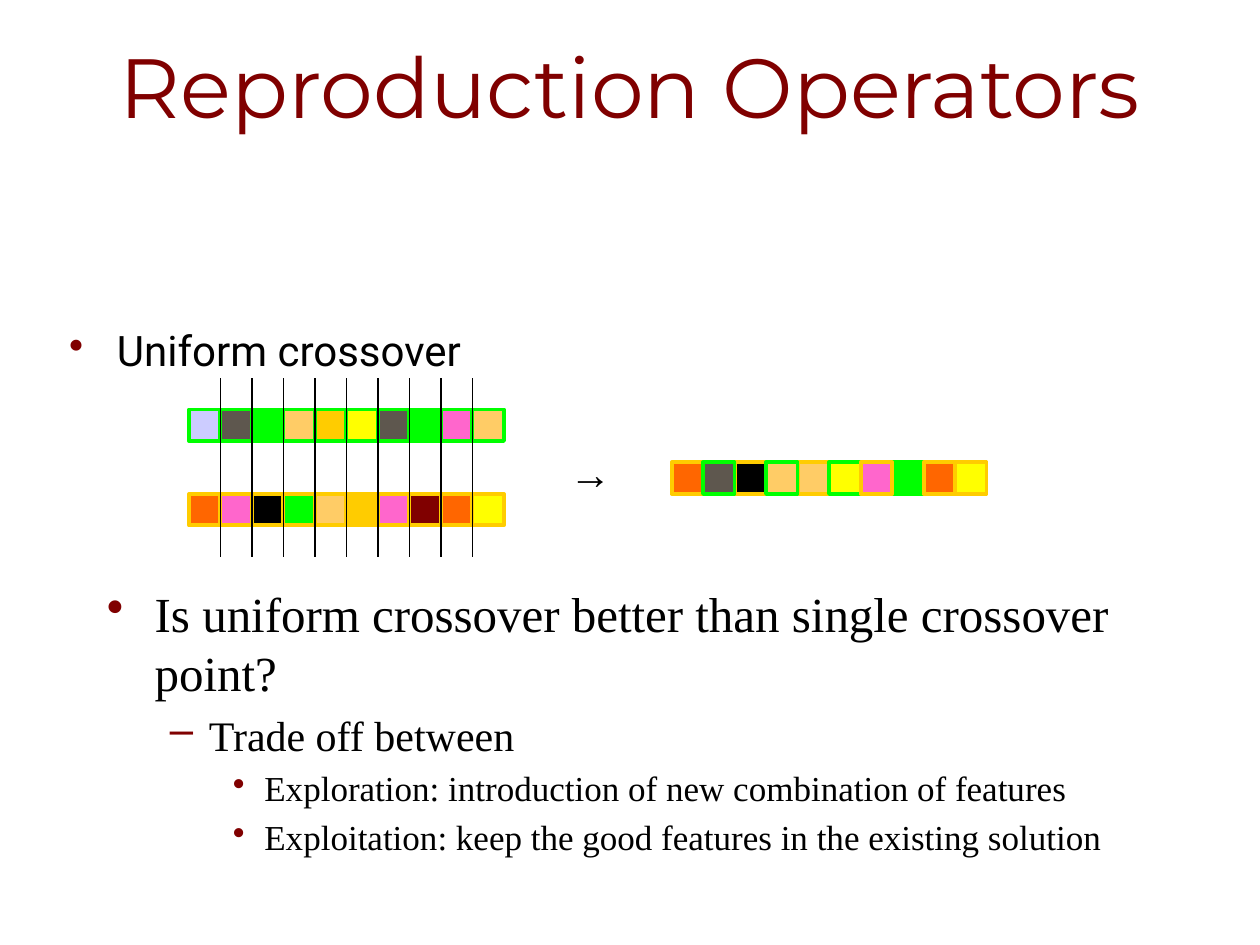
from lxml.etree import SubElement
from pptx import Presentation
from pptx.dml.color import RGBColor
from pptx.enum.shapes import MSO_CONNECTOR, MSO_SHAPE
from pptx.enum.text import MSO_ANCHOR, PP_ALIGN
from pptx.oxml.ns import qn
from pptx.util import Inches, Pt

COLORS = {
    "maroon": "800000", "black": "000000", "green": "00FF00", "gold": "FFCC00",
    "orange": "FF6600", "pink": "FF66CC", "peach": "FFCC66", "yellow": "FFFF00",
    "lavender": "CCCCFF", "gray": "5E574E",
}
GENE = 0.25  # side of one gene square

# Bullet, text indent and hanging indent for each outline level
LEVELS = [("•", 0.38, 0.38), ("–", 0.81, 0.31), ("•", 1.25, 0.25)]


def rgb(name):
    return RGBColor.from_string(COLORS[name])


class SlideBuilder:
    serif = "Times New Roman"

    def __init__(self, page):
        self.page = page

    def text_box(self, left, top, width, height, wrap=True):
        box = self.page.shapes.add_textbox(
            Inches(left), Inches(top), Inches(width), Inches(height))
        box.text_frame.word_wrap = wrap
        return box.text_frame

    def span(self, para, text, size, font, color="black"):
        span = para.add_run()
        span.text = text
        span.font.size = Pt(size)
        span.font.name = font
        span.font.color.rgb = rgb(color)

    def bullets(self, frame, items, font):
        for index, (level, size, text) in enumerate(items):
            para = frame.add_paragraph() if index else frame.paragraphs[0]
            para.level = level
            para.space_before = Pt(0.2 * size)
            mark, indent, hanging = LEVELS[level]
            props = para._p.get_or_add_pPr()
            props.set("marL", str(Inches(indent)))
            props.set("indent", str(-Inches(hanging)))
            color = SubElement(props, qn("a:buClr"))
            SubElement(color, qn("a:srgbClr"), val=COLORS["maroon"])
            SubElement(props, qn("a:buChar"), char=mark)
            self.span(para, text, size, font)

    def chromosome(self, left, top, genes, order=range(10)):
        """Draw (fill, outline) genes side by side, stacked in the given order."""
        group = self.page.shapes.add_group_shape()
        for index in order:
            fill, outline = genes[index]
            gene = group.shapes.add_shape(
                MSO_SHAPE.RECTANGLE, Inches(left + index * GENE), Inches(top),
                Inches(GENE), Inches(GENE))
            gene.shadow.inherit = False
            gene.fill.solid()
            gene.fill.fore_color.rgb = rgb(fill)
            gene.line.color.rgb = rgb(outline)
            gene.line.width = Pt(2.25)

    def cut_lines(self, left, top, bottom, count):
        group = self.page.shapes.add_group_shape()
        for index in range(count):
            x = Inches(left + index * GENE)
            line = group.shapes.add_connector(
                MSO_CONNECTOR.STRAIGHT, x, Inches(top), x, Inches(bottom))
            line.line.color.rgb = rgb("black")
            line.line.width = Pt(1)
            SubElement(line._element.spPr, qn("a:effectLst"))


def main():
    deck = Presentation()
    deck.slide_width, deck.slide_height = Inches(10), Inches(7.5)
    slide = SlideBuilder(deck.slides.add_slide(deck.slide_layouts[6]))

    # Title
    title = slide.text_box(0, 0, 10, 1.12)
    title.vertical_anchor = MSO_ANCHOR.BOTTOM
    title.paragraphs[0].alignment = PP_ALIGN.CENTER
    slide.span(title.paragraphs[0], "Reproduction Operators", 48, "Montserrat", "maroon")

    # Topic
    slide.bullets(slide.text_box(0.45, 2.53, 9.02, 0.92),
                  [(0, 24, "Uniform crossover")], "Roboto")

    # Parents, each with its own outline colour
    gold_parent = [(fill, "gold") for fill in (
        "orange", "pink", "black", "green", "peach",
        "gold", "pink", "maroon", "orange", "yellow")]
    green_parent = [(fill, "green") for fill in (
        "lavender", "gray", "green", "peach", "gold",
        "yellow", "gray", "green", "pink", "peach")]
    slide.chromosome(1.5, 3.92, gold_parent)
    slide.chromosome(1.5, 3.25, green_parent)
    slide.cut_lines(1.75, 3, 4.42, 9)

    # Child takes the odd genes up to 7 from the green parent
    arrow = slide.text_box(4.42, 3.5, 0.53, 0.5, wrap=False)
    slide.span(arrow.paragraphs[0], "→", 24, slide.serif)
    child = [green_parent[i] if i in (1, 3, 5, 7) else gold_parent[i]
             for i in range(10)]
    slide.chromosome(5.33, 3.67, child, order=(0, 2, 4, 1, 3, 5, 7, 6, 8, 9))

    # Discussion
    slide.bullets(slide.text_box(0.75, 4.58, 8.5, 2.25), [
        (0, 28, "Is uniform crossover better than single crossover point?"),
        (1, 24, "Trade off between"),
        (2, 20, "Exploration: introduction of new combination of features"),
        (2, 20, "Exploitation: keep the good features in the existing solution"),
    ], slide.serif)

    deck.save("out.pptx")


if __name__ == "__main__":
    main()
